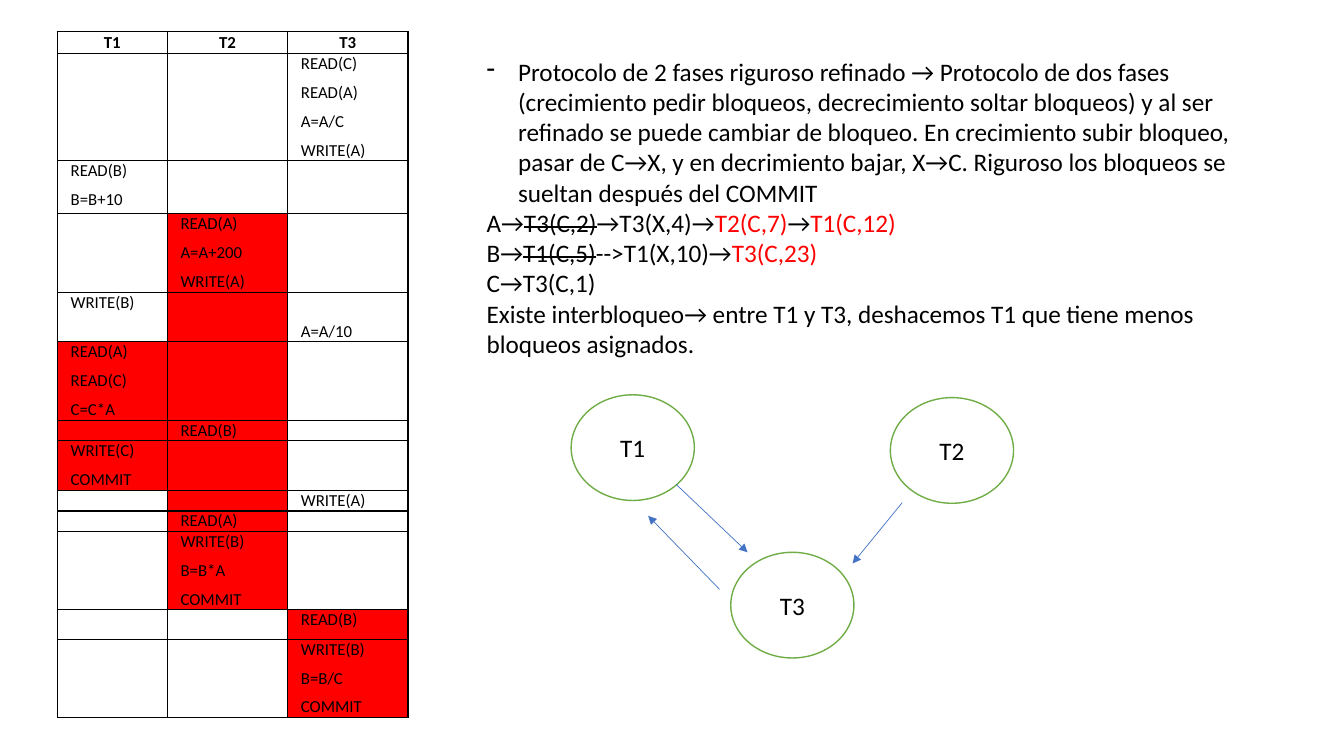
from dataclasses import dataclass

from lxml.etree import SubElement as Sub
from pptx import Presentation
from pptx.dml.color import RGBColor as Rgb
from pptx.enum.shapes import MSO_CONNECTOR as Conn, MSO_SHAPE as Shape
from pptx.enum.text import MSO_ANCHOR as Anchor, PP_ALIGN as Align
from pptx.oxml.ns import qn
from pptx.util import Pt


@dataclass(frozen=True)
class Theme:
    font: str = "Calibri"
    small: float = 12
    body: float = 18
    black: str = "000000"
    white: str = "FFFFFF"
    red: str = "FF0000"
    green: str = "70AD47"
    blue: str = "4472C4"


THEME = Theme()

HEADS = ("T1", "T2", "T3")

# Height, columns in red, text of T1, T2 and T3
STEPS = (
    (76.5, (), ("", "", "READ(C)\nREAD(A)\nA=A/C\nWRITE(A)")),
    (38, (), ("READ(B)\nB=B+10", "", "")),
    (56, (1,), ("", "READ(A)\nA=A+200\nWRITE(A)", "")),
    (35.5, (1,), ("WRITE(B)", "", "A=A/10")),
    (56, (0, 1), ("READ(A)\nREAD(C)\nC=C*A", "", "")),
    (14.5, (0, 1), ("", "READ(B)", "")),
    (35.5, (0, 1), ("WRITE(C)\nCOMMIT", "", "")),
    (14.5, (1,), ("", "", "WRITE(A)")),
    (14.5, (1,), ("", "READ(A)", "")),
    (56, (1,), ("", "WRITE(B)\nB=B*A\nCOMMIT", "")),
    (21, (2,), ("", "", "READ(B)")),
    (56, (2,), ("", "", "WRITE(B)\nB=B/C\nCOMMIT")),
)
LATE = (4, 2)  # cell whose step sits at the foot of its row

PLAIN, GONE, WAIT = range(3)  # lock held, lock dropped, lock waited for
NOTES = (
    (("Protocolo de 2 fases riguroso refinado → Protocolo de dos fases "
      "(crecimiento pedir bloqueos, decrecimiento soltar bloqueos) y al ser "
      "refinado se puede cambiar de bloqueo. En crecimiento subir bloqueo, "
      "pasar de C→X, y en decrimiento bajar, X→C. Riguroso los bloqueos se "
      "sueltan después del COMMIT", PLAIN),),
    (("A→", PLAIN), ("T3(C,2)", GONE), ("→T3(X,4)→", PLAIN),
     ("T2(C,7)", WAIT), ("→", PLAIN), ("T1(C,12)", WAIT)),
    (("B→", PLAIN), ("T1(C,5)", GONE), ("-->T1(X,10)→", PLAIN),
     ("T3(C,23)", WAIT)),
    (("C→T3(C,1)", PLAIN),),
    (("Existe interbloqueo→ entre T1 y T3, deshacemos T1 que tiene menos "
      "bloqueos asignados.", PLAIN),),
)

NODES = (("T1", 0, 0), ("T2", 228, 2), ("T3", 114, 112.5))
EDGES = ((75, 64, 126, 112.5), (236.5, 77, 201, 120.5), (106, 139, 55, 86.5))


def style(run, size, color=THEME.black, bold=False):
    font = run.font
    font.name, font.size, font.bold = THEME.font, Pt(size), bold
    font.color.rgb = Rgb.from_string(color)


def frame(cell):
    """Draw a thin black border on all four sides of a cell."""
    props = cell._tc.get_or_add_tcPr()
    for spot, side in enumerate(("lnL", "lnR", "lnT", "lnB")):
        line = props.makeelement(qn("a:" + side), {"w": str(Pt(1))})
        fill = Sub(line, qn("a:solidFill"))
        Sub(fill, qn("a:srgbClr"), val=THEME.black)
        props.insert(spot, line)


def fill_cell(cell, text, color, head=False):
    cell.fill.solid()
    cell.fill.fore_color.rgb = Rgb.from_string(color)
    frame(cell)
    cell.margin_left = cell.margin_right = Pt(9.5)
    cell.margin_top = cell.margin_bottom = 0
    cell.text_frame.text = text
    for para in cell.text_frame.paragraphs:
        para.alignment = Align.CENTER if head else Align.JUSTIFY
        para.space_before = para.space_after = Pt(3)
        if head:
            para.line_spacing = 1.07
        for run in para.runs:
            style(run, THEME.small, bold=head)
        if not para.runs:  # keeps an empty cell from stretching its row
            Sub(para._p, qn("a:endParaRPr"), sz=str(int(THEME.small * 100)))


def add_plan(slide, left, top, width):
    """Add the schedule table, one column per transaction."""
    rows = ((15.5, (), HEADS),) + STEPS
    high = sum(row[0] for row in rows)
    table = slide.shapes.add_table(
        len(rows), len(HEADS), Pt(left), Pt(top), Pt(width), Pt(high)).table
    table.first_row = table.horz_banding = False
    first = 78.5
    rest = (width - first) / 2
    for col, size in zip(table.columns, (first, rest, rest)):
        col.width = Pt(size)
    for r, (size, reds, texts) in enumerate(rows):
        table.rows[r].height = Pt(size)
        for c, text in enumerate(texts):
            color = THEME.red if c in reds else THEME.white
            fill_cell(table.cell(r, c), text, color, head=r == 0)
    table.cell(*LATE).vertical_anchor = Anchor.BOTTOM


def add_notes(slide, left, top, width, height):
    box = slide.shapes.add_textbox(Pt(left), Pt(top), Pt(width), Pt(height))
    text = box.text_frame
    text.word_wrap = True
    for i, parts in enumerate(NOTES):
        para = text.add_paragraph() if i else text.paragraphs[0]
        for words, kind in parts:
            run = para.add_run()
            run.text = words
            style(run, THEME.body, THEME.red if kind == WAIT else THEME.black)
            if kind == GONE:
                run.font._element.set("strike", "sngStrike")
    props = text.paragraphs[0]._p.get_or_add_pPr()
    props.set("marL", str(Pt(22.5)))
    props.set("indent", str(-Pt(22.5)))
    Sub(props, qn("a:buChar"), char="-")


def add_node(slide, name, left, top):
    node = slide.shapes.add_shape(
        Shape.OVAL, Pt(left), Pt(top), Pt(88), Pt(75.5))
    node.shadow.inherit = False
    node.fill.solid()
    node.fill.fore_color.rgb = Rgb.from_string(THEME.white)
    node.line.color.rgb = Rgb.from_string(THEME.green)
    node.line.width = Pt(1)
    text = node.text_frame
    text.text = name
    text.vertical_anchor = Anchor.MIDDLE
    text.paragraphs[0].alignment = Align.CENTER
    style(text.paragraphs[0].runs[0], THEME.body)


def add_edge(slide, *ends):
    edge = slide.shapes.add_connector(Conn.STRAIGHT, *map(Pt, ends))
    edge.line.color.rgb = Rgb.from_string(THEME.blue)
    edge.line.width = Pt(0.5)
    Sub(edge.line._get_or_add_ln(), qn("a:tailEnd"), type="triangle")
    Sub(edge._element.spPr, qn("a:effectLst"))


def add_graph(slide, left, top):
    """Add the wait-for graph of the transactions."""
    for name, x, y in NODES:
        add_node(slide, name, left + x, top + y)
    for x1, y1, x2, y2 in EDGES:
        add_edge(slide, left + x1, top + y1, left + x2, top + y2)


def main():
    deck = Presentation()
    deck.slide_width, deck.slide_height = Pt(960), Pt(540)
    slide = deck.slides.add_slide(deck.slide_layouts[6])
    add_plan(slide, 41, 22.5, 250.5)
    add_notes(slide, 340.5, 36.5, 569, 225.5)
    add_graph(slide, 408, 282)
    deck.save("out.pptx")


if __name__ == "__main__":
    main()
